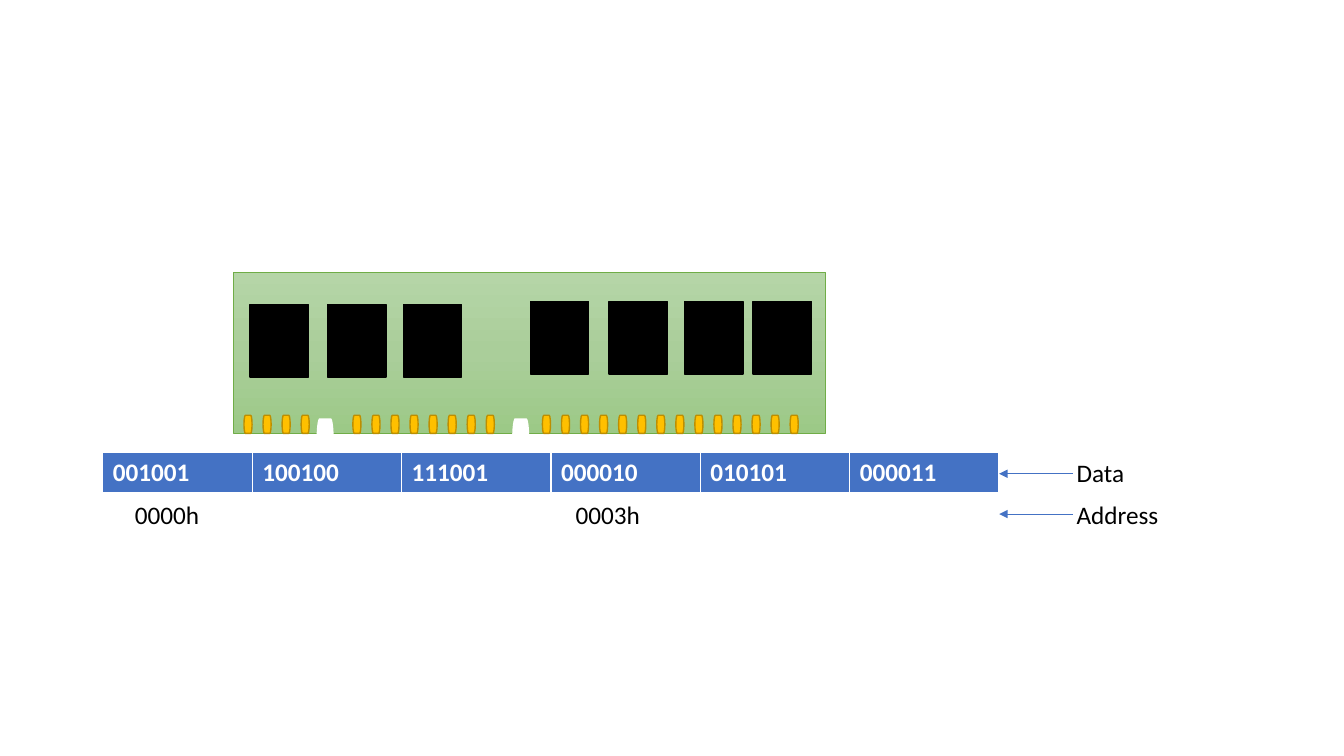
"""Build a slide showing a memory module with its data cells and addresses."""
from copy import deepcopy
from dataclasses import dataclass
from typing import Optional

from lxml import etree
from pptx import Presentation
from pptx.dml.color import RGBColor
from pptx.enum.shapes import MSO_CONNECTOR, MSO_SHAPE
from pptx.enum.text import MSO_AUTO_SIZE
from pptx.oxml.ns import qn
from pptx.util import Inches, Pt

RECTANGLE = MSO_SHAPE.RECTANGLE
TERMINATOR = MSO_SHAPE.FLOWCHART_TERMINATOR
STRAIGHT = MSO_CONNECTOR.STRAIGHT
FIT_SHAPE = MSO_AUTO_SIZE.SHAPE_TO_FIT_TEXT

WHITE = RGBColor(0xFF, 0xFF, 0xFF)
BLACK = RGBColor(0x00, 0x00, 0x00)
BLUE = RGBColor(0x44, 0x72, 0xC4)
GOLD = RGBColor(0xFF, 0xC0, 0x00)
DARK_GOLD = RGBColor(0xBD, 0x8E, 0x00)
GREEN = RGBColor(0x70, 0xAD, 0x47)
BOARD_STOPS = (
    (0, RGBColor(0xB5, 0xD5, 0xA7)),
    (0.5, RGBColor(0xAA, 0xCE, 0x9A)),
    (1, RGBColor(0x9C, 0xC9, 0x87)),
)
FONT = "Calibri"
TEXT_SIZE = Pt(18)


@dataclass(frozen=True)
class Part:
    left: float
    top: float
    width: float
    height: float
    kind: int
    fill: Optional[RGBColor] = None
    line: Optional[RGBColor] = None
    line_width: float = 1


@dataclass(frozen=True)
class PinGroup:
    left: float
    count: int


@dataclass(frozen=True)
class Label:
    text: str
    left: float
    top: float
    width: float


BOARD = Part(2.31, 2.7, 5.88, 1.6, RECTANGLE, line=GREEN, line_width=0.5)
NOTCHES = [Part(left, 4.15, 0.17, 0.41, TERMINATOR, WHITE) for left in (3.14, 5.08)]
PIN_PITCH = 0.189
PIN_GROUPS = (PinGroup(2.42, 4), PinGroup(3.5, 8), PinGroup(5.38, 14))
PINS = [
    Part(group.left + index * PIN_PITCH, 4.12, 0.08, 0.18, TERMINATOR, GOLD, DARK_GOLD)
    for group in PIN_GROUPS
    for index in range(group.count)
]
CHIP_ROWS = ((3.02, (2.48, 3.25, 4)), (2.99, (5.26, 6.04, 6.79, 7.47)))
CHIPS = [
    Part(left, top, 0.58, 0.72, RECTANGLE, BLACK, BLACK)
    for top, lefts in CHIP_ROWS
    for left in lefts
]
DATA_CELLS = ("001001", "100100", "111001", "000010", "010101", "000011")
BORDERS = (("a:lnL", 1), ("a:lnR", 1), ("a:lnT", 1), ("a:lnB", 3))
LABELS = (
    Label("0000h", 1.24, 4.9, 0.85),
    Label("0003h", 5.61, 4.9, 0.85),
    Label("Data", 10.58, 4.49, 0.68),
    Label("Address", 10.58, 4.9, 1.02),
)
ARROW_HEIGHTS = (4.7, 5.1)


def add_part(slide, part: Part):
    shape = slide.shapes.add_shape(
        part.kind, Inches(part.left), Inches(part.top), Inches(part.width), Inches(part.height)
    )
    shape.shadow.inherit = False
    if part.fill is not None:
        shape.fill.solid()
        shape.fill.fore_color.rgb = part.fill
    if part.line is None:
        shape.line.fill.background()
    else:
        shape.line.color.rgb = part.line
        shape.line.width = Pt(part.line_width)
    return shape


def add_board(slide) -> None:
    board = add_part(slide, BOARD)
    board.fill.gradient()
    board.fill.gradient_angle = 270
    stop_list = next(board._element.iter(qn("a:gsLst")))
    stop_list.append(deepcopy(stop_list[0]))
    for stop, (position, color) in zip(board.fill.gradient_stops, BOARD_STOPS):
        stop.position = position
        stop.color.rgb = color


def style_run(run, color: RGBColor, bold: bool = False) -> None:
    run.font.name = FONT
    run.font.size = TEXT_SIZE
    run.font.bold = bold
    run.font.color.rgb = color


def add_borders(cell) -> None:
    properties = cell._tc.get_or_add_tcPr()
    for tag, width in BORDERS:
        border = etree.SubElement(properties, qn(tag), w=str(Pt(width)))
        fill = etree.SubElement(border, qn("a:solidFill"))
        etree.SubElement(fill, qn("a:srgbClr"), val=str(WHITE))


def add_data_table(slide) -> None:
    table = slide.shapes.add_table(
        1, len(DATA_CELLS), Inches(1.02), Inches(4.49), Inches(8.89), Inches(0.41)
    ).table
    for cell, value in zip(table.iter_cells(), DATA_CELLS):
        add_borders(cell)
        cell.fill.solid()
        cell.fill.fore_color.rgb = BLUE
        cell.text_frame.text = value
        style_run(cell.text_frame.paragraphs[0].runs[0], WHITE, bold=True)


def add_label(slide, label: Label) -> None:
    text_frame = slide.shapes.add_textbox(
        Inches(label.left), Inches(label.top), Inches(label.width), Inches(0.4)
    ).text_frame
    text_frame.word_wrap = False
    text_frame.auto_size = FIT_SHAPE
    text_frame.text = label.text
    style_run(text_frame.paragraphs[0].runs[0], BLACK)


def add_arrow(slide, height: float) -> None:
    arrow = slide.shapes.add_connector(
        STRAIGHT, Inches(10.64), Inches(height), Inches(9.91), Inches(height)
    )
    arrow.line.color.rgb = BLUE
    arrow.line.width = Pt(0.5)
    etree.SubElement(arrow.line._get_or_add_ln(), qn("a:tailEnd"), type="triangle")
    etree.SubElement(arrow._element.spPr, qn("a:effectLst"))


def main() -> None:
    presentation = Presentation()
    presentation.slide_width = Inches(13.33)
    presentation.slide_height = Inches(7.5)
    slide = presentation.slides.add_slide(presentation.slide_layouts[6])
    add_board(slide)
    for part in NOTCHES + PINS + CHIPS:
        add_part(slide, part)
    add_data_table(slide)
    for height in ARROW_HEIGHTS:
        add_arrow(slide, height)
    for label in LABELS:
        add_label(slide, label)
    presentation.save("out.pptx")


if __name__ == "__main__":
    main()
